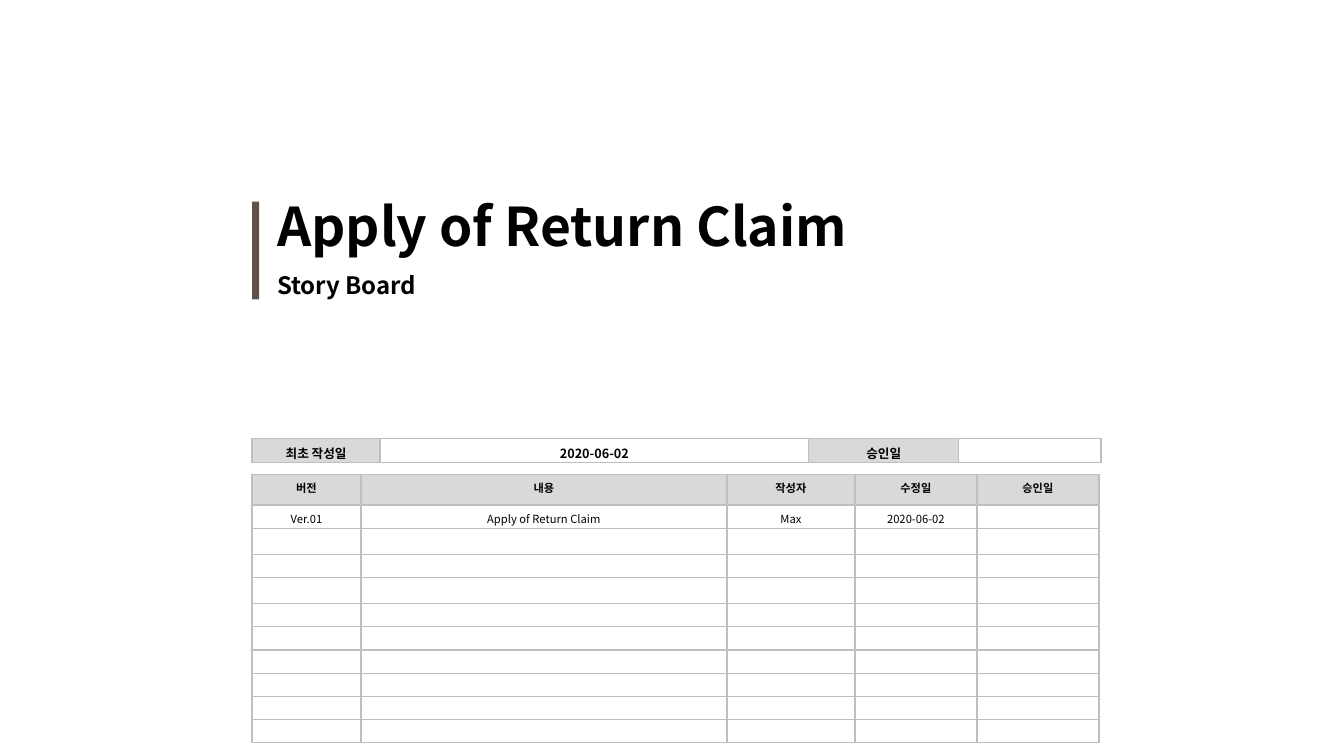
from lxml import etree
from pptx import Presentation
from pptx.dml.color import RGBColor
from pptx.enum.shapes import MSO_SHAPE
from pptx.enum.text import MSO_ANCHOR, MSO_AUTO_SIZE, PP_ALIGN
from pptx.oxml.ns import qn
from pptx.util import Inches, Pt

RECTANGLE = MSO_SHAPE.RECTANGLE
TOP, MIDDLE = MSO_ANCHOR.TOP, MSO_ANCHOR.MIDDLE
NO_AUTOFIT = MSO_AUTO_SIZE.NONE
LEFT, CENTER = PP_ALIGN.LEFT, PP_ALIGN.CENTER

BLACK = RGBColor(0x00, 0x00, 0x00)
WHITE = RGBColor(0xFF, 0xFF, 0xFF)
BROWN = RGBColor(0x60, 0x51, 0x4B)
LABEL_GRAY = RGBColor(0xD9, 0xD9, 0xD9)
BORDER_GRAY = RGBColor(0xBF, 0xBF, 0xBF)
FONT = "Noto Sans CJK KR"


def format_paragraph(p, size, bold, align):
    p.alignment = align
    p.font.size = Pt(size)
    p.font.bold = bold
    p.font.color.rgb = BLACK
    p.font.name = FONT
    props = p._p.pPr.find(qn("a:defRPr"))
    etree.SubElement(props, qn("a:ea")).set("typeface", FONT)


def set_borders(cell):
    tcPr = cell._tc.get_or_add_tcPr()
    for i, side in enumerate(("lnL", "lnR", "lnT", "lnB")):
        ln = etree.Element(qn(f"a:{side}"), w=str(Pt(1)))
        fill = etree.SubElement(ln, qn("a:solidFill"))
        etree.SubElement(fill, qn("a:srgbClr"), val=str(BORDER_GRAY))
        tcPr.insert(i, ln)


def fill_cell(cell, text, size, bold, color):
    cell.fill.solid()
    cell.fill.fore_color.rgb = color
    cell.vertical_anchor = TOP
    cell.margin_left = cell.margin_right = Inches(0.1)
    cell.margin_top = Inches(0.05)
    cell.margin_bottom = 0
    set_borders(cell)
    p = cell.text_frame.paragraphs[0]
    if text:
        p.text = text
    else:
        etree.SubElement(p._p, qn("a:endParaRPr"), sz=str(size * 100))
    format_paragraph(p, size, bold, CENTER)


def add_grid(slide, left, top, widths, heights):
    frame = slide.shapes.add_table(
        len(heights), len(widths), Inches(left), Inches(top),
        Inches(sum(widths)), Inches(sum(heights)))
    table = frame.table
    table.first_row = table.horz_banding = False
    for column, width in zip(table.columns, widths):
        column.width = Inches(width)
    for row, height in zip(table.rows, heights):
        row.height = Inches(height)
    return table


def place_text(sp, text, size, left, top, width, height):
    sp.left, sp.top = Inches(left), Inches(top)
    sp.width, sp.height = Inches(width), Inches(height)
    tf = sp.text_frame
    tf.text = text
    tf.word_wrap = True
    tf.auto_size = NO_AUTOFIT
    tf.vertical_anchor = MIDDLE
    p = tf.paragraphs[0]
    p.space_before = Pt(0)
    format_paragraph(p, size, True, LEFT)


def add_heading(slide, left, top):
    bar = slide.shapes.add_shape(
        RECTANGLE, Inches(left), Inches(top), Inches(0.07), Inches(0.97))
    bar.shadow.inherit = False
    bar.fill.solid()
    bar.fill.fore_color.rgb = BROWN
    bar.line.fill.background()
    title, subtitle = slide.shapes.title, slide.placeholders[1]
    place_text(title, "Apply of Return Claim", 38.1,
               left + 0.15, top - 0.14, 8.11, 0.74)
    place_text(subtitle, "Story Board", 17.1,
               left + 0.15, top + 0.63, 8.11, 0.39)


def add_history(slide, left, top):
    rows = [
        ("버전", "내용", "작성자", "수정일", "승인일"),
        ("Ver.01", "Apply of Return Claim", "Max", "2020-06-02", ""),
    ] + [("",) * 5] * 9
    heights = [0.3, 0.23, 0.26, 0.23, 0.26] + [0.23] * 6
    table = add_grid(slide, left, top, [1.08, 3.63, 1.27, 1.21, 1.21], heights)
    for i, texts in enumerate(rows):
        header = i == 0
        for j, text in enumerate(texts):
            fill_cell(table.cell(i, j), text, 8, header,
                      LABEL_GRAY if header else WHITE)


def add_dates(slide, left, top):
    table = add_grid(slide, left, top, [1.27, 4.25, 1.49, 1.41], [0.24])
    for j, text in enumerate(("최초 작성일", "2020-06-02", "승인일", "")):
        fill_cell(table.cell(0, j), text, 9, True,
                  WHITE if j % 2 else LABEL_GRAY)


def main():
    prs = Presentation()
    prs.slide_width, prs.slide_height = Inches(13.33), Inches(7.5)
    slide = prs.slides.add_slide(prs.slide_layouts[0])
    add_heading(slide, 2.5, 2)
    add_history(slide, 2.5, 4.71)
    add_dates(slide, 2.5, 4.35)
    prs.save("out.pptx")


if __name__ == "__main__":
    main()
